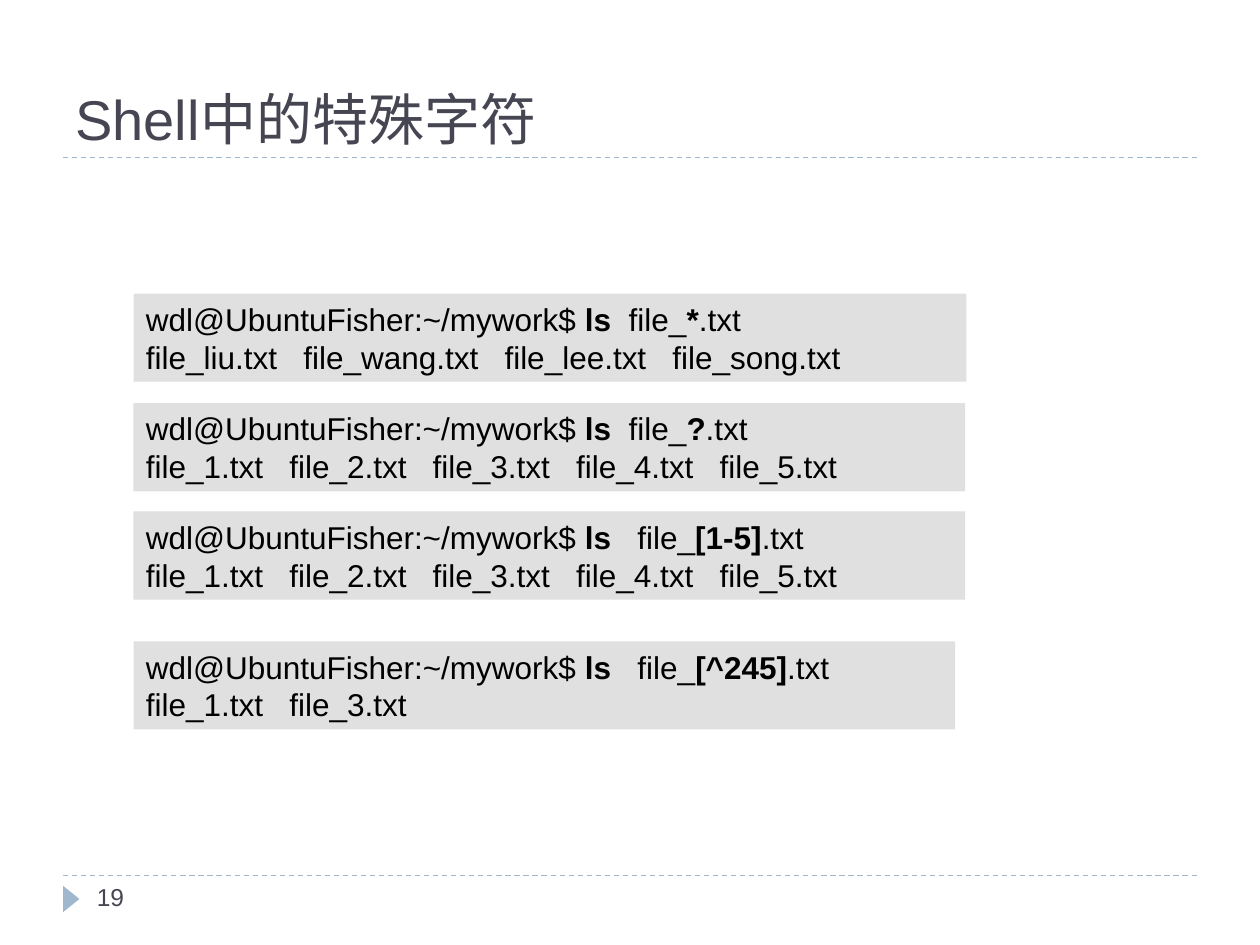
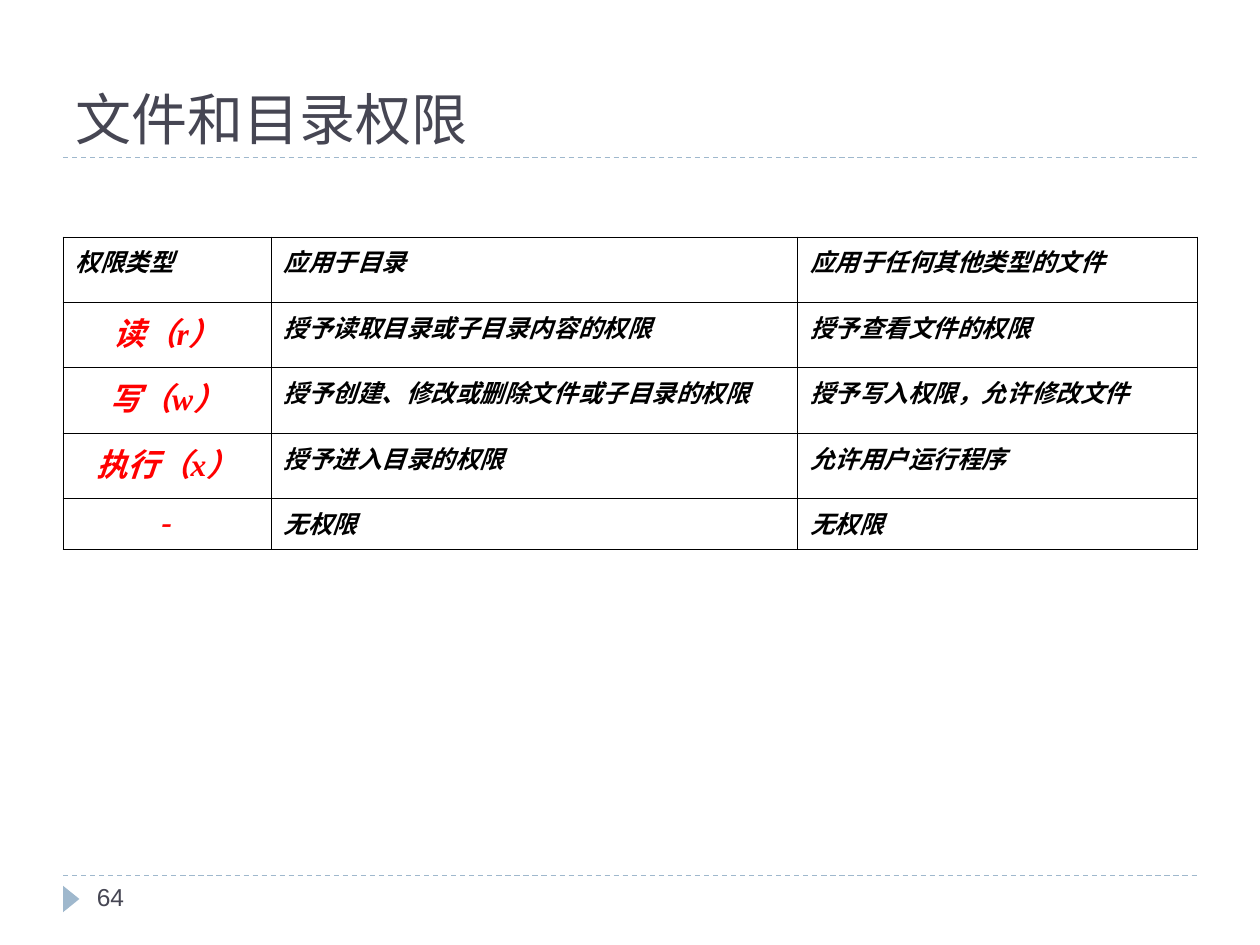
from lxml import etree
from pptx import Presentation
from pptx.dml.color import RGBColor
from pptx.enum.dml import MSO_LINE
from pptx.enum.lang import MSO_LANGUAGE_ID
from pptx.enum.shapes import MSO_CONNECTOR, MSO_SHAPE
from pptx.enum.text import MSO_ANCHOR, MSO_AUTO_SIZE, PP_ALIGN
from pptx.oxml.ns import qn
from pptx.util import Inches, Pt

INK = RGBColor(0x46, 0x46, 0x53)
ACCENT = RGBColor(0x9F, 0xB8, 0xCD)
CODE_FILL = RGBColor(0xE0, 0xE0, 0xE0)
BLACK = RGBColor(0, 0, 0)
RED = RGBColor(0xFF, 0, 0)

TITLE = dict(name="Arial", size=Pt(32), color=INK)
PAGE_NUMBER = dict(name="Arial", size=Pt(14), color=INK)
CODE = dict(name="Arial", size=Pt(18), color=BLACK)
CELL = dict(name="Times New Roman", size=Pt(14), color=BLACK, bold=True, italic=True)
PERMISSION = dict(CELL, size=Pt(18), color=RED)

PROMPT = "wdl@UbuntuFisher:~/mywork$ "
NUMBERED_FILES = "file_1.txt   file_2.txt   file_3.txt   file_4.txt   file_5.txt"
# top, width, gap before the file name, pattern, listing
COMMANDS = [
    (2.33, 6.61, "  ", "*", "file_liu.txt   file_wang.txt   file_lee.txt   file_song.txt"),
    (3.2, 6.6, "  ", "?", NUMBERED_FILES),
    (4.06, 6.6, "   ", "[1-5]", NUMBERED_FILES),
    (5.09, 6.52, "   ", "[^245]", "file_1.txt   file_3.txt"),
]

PERMISSIONS = [
    ("权限类型", "应用于目录", "应用于任何其他类型的文件"),
    ("读（r）", "授予读取目录或子目录内容的权限", "授予查看文件的权限"),
    ("写（w）", "授予创建、修改或删除文件或子目录的权限", "授予写入权限，允许修改文件"),
    ("执行（x）", "授予进入目录的权限", "允许用户运行程序"),
    ("-", "无权限", "无权限"),
]
COLUMN_WIDTHS = (1.65, 4.18, 3.17)
ROW_HEIGHTS = (0.52, 0.52, 0.52, 0.52, 0.4)


def add_span(para, text, style, **changes):
    span = para.add_run()
    span.text = text
    span.font.language_id = MSO_LANGUAGE_ID.SIMPLIFIED_CHINESE
    for key, value in {**style, **changes}.items():
        if key == "color":
            span.font.color.rgb = value
        else:
            setattr(span.font, key, value)


def add_label(page, box, text, style, anchor):
    frame = page.shapes.add_textbox(*map(Inches, box)).text_frame
    frame.word_wrap = True
    frame.vertical_anchor = anchor
    add_span(frame.paragraphs[0], text, style)


def add_filled_shape(page, kind, box, color):
    shape = page.shapes.add_shape(kind, *map(Inches, box))
    shape.shadow.inherit = False
    shape.fill.solid()
    shape.fill.fore_color.rgb = color
    shape.line.fill.background()
    return shape


def add_dashed_rule(page, left, top, width):
    rule = page.shapes.add_connector(
        MSO_CONNECTOR.STRAIGHT, *map(Inches, (left, top, left + width, top)))
    rule.line.color.rgb = ACCENT
    rule.line.width = Pt(0.75)
    rule.line.dash_style = MSO_LINE.DASH
    etree.SubElement(rule._element.spPr, qn("a:effectLst"))


def add_page(deck, title, number):
    """Blank page with the shared title, rules and footer."""
    page = deck.slides.add_slide(deck.slide_layouts[6])
    for top in (6.95, 1.25):
        add_dashed_rule(page, 0.5, top, 9)
    marker = add_filled_shape(
        page, MSO_SHAPE.ISOSCELES_TRIANGLE, (0.46, 7.07, 0.21, 0.13), ACCENT)
    marker.rotation = 90
    add_label(page, (0.67, 6.95, 2.17, 0.4), str(number), PAGE_NUMBER, MSO_ANCHOR.TOP)
    add_label(page, (0.5, 0.17, 9, 1.08), title, TITLE, MSO_ANCHOR.BOTTOM)
    return page


def add_command(page, box, gap, pattern, listing):
    """Grey band with a command line and its result."""
    band = add_filled_shape(page, MSO_SHAPE.RECTANGLE, box, CODE_FILL)
    frame = band.text_frame
    frame.word_wrap = True
    frame.vertical_anchor = MSO_ANCHOR.MIDDLE
    frame.auto_size = MSO_AUTO_SIZE.SHAPE_TO_FIT_TEXT
    command, result = frame.paragraphs[0], frame.add_paragraph()
    command.alignment = result.alignment = PP_ALIGN.LEFT
    spans = [(PROMPT, False), ("ls", True), (gap + "file_", False),
             (pattern, True), (".txt", False)]
    for text, bold in spans:
        add_span(command, text, CODE, bold=bold)
    add_span(result, listing, CODE)


def set_borders(cell):
    properties = cell._tc.get_or_add_tcPr()
    for side in ("a:lnL", "a:lnR", "a:lnT", "a:lnB"):
        line = etree.SubElement(properties, qn(side), w=str(Pt(0.45)))
        fill = etree.SubElement(line, qn("a:solidFill"))
        etree.SubElement(fill, qn("a:srgbClr"), val=str(BLACK))


def add_permission_table(page, left, top):
    table = page.shapes.add_table(
        len(PERMISSIONS), len(COLUMN_WIDTHS), Inches(left), Inches(top),
        Inches(sum(COLUMN_WIDTHS)), Inches(sum(ROW_HEIGHTS))).table
    table.first_row = table.horz_banding = False
    for column, width in zip(table.columns, COLUMN_WIDTHS):
        column.width = Inches(width)
    for row, height in zip(table.rows, ROW_HEIGHTS):
        row.height = Inches(height)
    for row_index, texts in enumerate(PERMISSIONS):
        for column_index, text in enumerate(texts):
            cell = table.cell(row_index, column_index)
            set_borders(cell)
            cell.fill.background()
            para = cell.text_frame.paragraphs[0]
            # Hanging indent
            indents = para._p.get_or_add_pPr()
            indents.set("marL", str(Inches(0.3)))
            indents.set("indent", str(Inches(-0.3)))
            is_permission = row_index > 0 and column_index == 0
            para.alignment = PP_ALIGN.CENTER if is_permission else PP_ALIGN.LEFT
            add_span(para, text, PERMISSION if is_permission else CELL)


def main():
    deck = Presentation()
    deck.slide_width, deck.slide_height = Inches(10), Inches(7.5)

    # Wildcards
    page = add_page(deck, "Shell中的特殊字符", 19)
    for top, width, gap, pattern, listing in COMMANDS:
        add_command(page, (1.06, top, width, 0.7), gap, pattern, listing)

    # Permissions
    page = add_page(deck, "文件和目录权限", 64)
    add_permission_table(page, 0.5, 1.88)

    deck.save("out.pptx")


if __name__ == "__main__":
    main()
